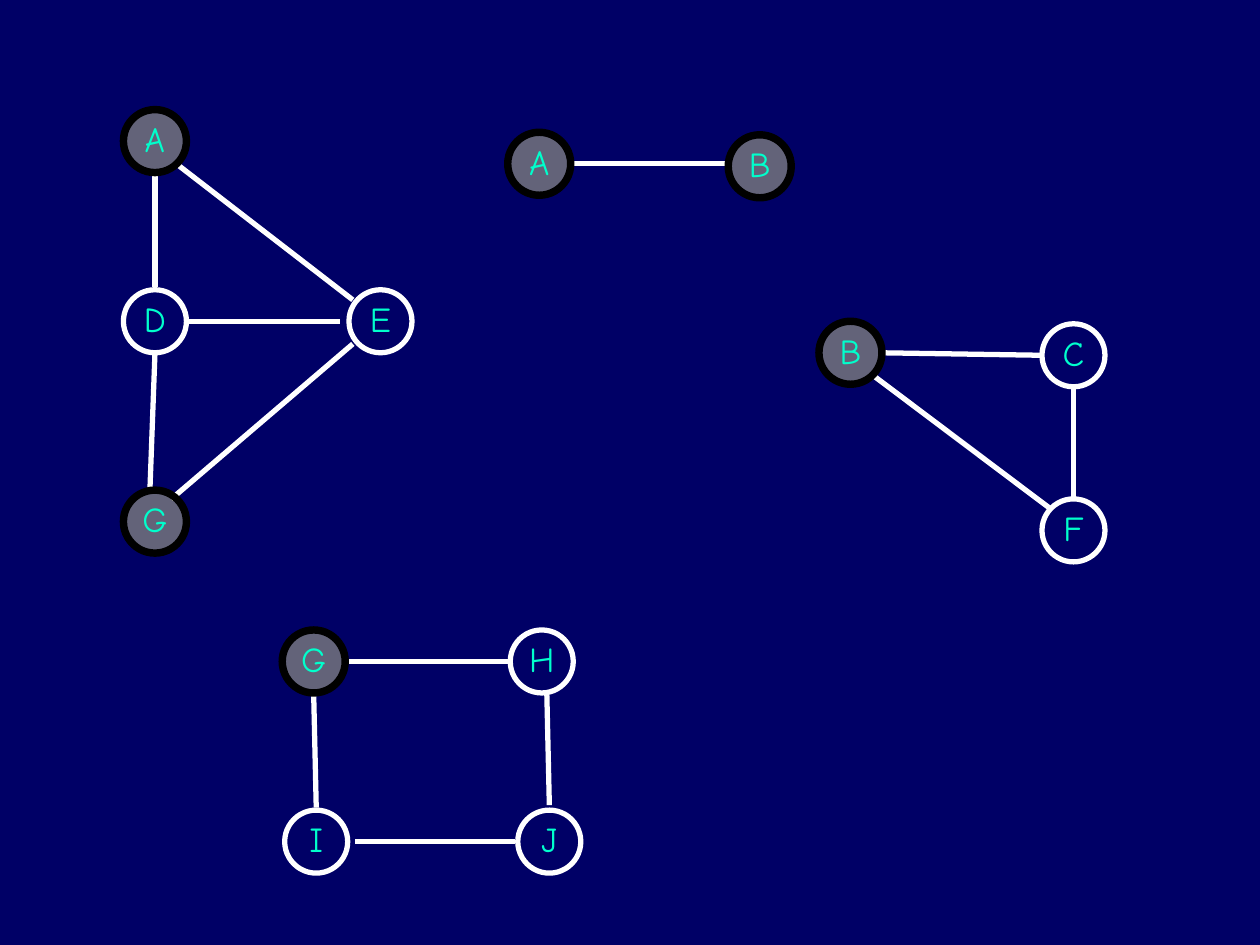
from dataclasses import dataclass

from lxml.etree import SubElement
from pptx import Presentation
from pptx.dml.color import RGBColor
from pptx.enum.shapes import MSO_CONNECTOR, MSO_SHAPE
from pptx.enum.text import MSO_ANCHOR, PP_ALIGN
from pptx.oxml.ns import qn
from pptx.util import Inches, Pt

COLUMNS, ROWS = 100, 75
NODE_SIZE = 5  # grid cells


@dataclass(frozen=True)
class Theme:
    background: str = "000066"
    line: str = "FFFFFF"
    cut_line: str = "000000"
    cut_fill: str = "FFFF99"
    cut_opacity: int = 39
    letter: str = "00FFCC"
    font: str = "Comic Neue"
    letter_size: int = 20
    line_width: float = 3
    cut_line_width: float = 4.25


@dataclass(frozen=True)
class Component:
    """A biconnected component; nodes and edges are offsets in grid cells."""
    box: tuple  # left, top, width, height spanned by the node centres
    nodes: dict
    edges: tuple
    cut_nodes: str


THEME = Theme()

COMPONENTS = (
    Component(
        box=(12.3, 11.2, 17.9, 30.2),
        nodes={"A": (0, 0), "D": (0, 14.3), "E": (17.9, 14.3), "G": (0, 30.2)},
        edges=(
            ((2.7, 14.3), (14.7, 14.3)),
            ((0, 2.7), (0, 11.6)),
            ((1.7, 1.8), (15.7, 12.6)),
            ((0, 16.8), (-0.4, 27.7)),
            ((15.7, 16.1), (1.3, 28.4)),
        ),
        cut_nodes="AG",
    ),
    Component(
        box=(24.9, 52.5, 18.7, 14.3),
        nodes={"I": (0.2, 14.3), "J": (18.7, 14.3), "H": (18.1, 0), "G": (0, 0)},
        edges=(
            ((0, 2.7), (0.2, 11.6)),
            ((3.3, 14.3), (16, 14.3)),
            ((2.7, 0), (15.4, 0)),
            ((18.5, 2.5), (18.7, 11.4)),
        ),
        cut_nodes="G",
    ),
    Component(
        box=(67.5, 28, 17.7, 14.1),
        nodes={"C": (17.7, 0.2), "F": (17.7, 14.1), "B": (0, 0)},
        edges=(
            ((2.5, 0), (15.2, 0.2)),
            ((1.8, 1.8), (15.9, 12.4)),
            ((17.7, 2.8), (17.7, 11.6)),
        ),
        cut_nodes="B",
    ),
    Component(
        box=(42.8, 13, 17.5, 0.2),
        nodes={"A": (0, 0), "B": (17.5, 0.2)},
        edges=(((2.7, 0), (14.8, 0)),),
        cut_nodes="AB",
    ),
)


def colour(value):
    return RGBColor.from_string(value)


def cells(count):
    """Length of a number of the square grid cells."""
    return Inches(10 * count / COLUMNS)


def set_text(shape, text, *, size, font, text_colour, alignment=PP_ALIGN.CENTER):
    frame = shape.text_frame
    frame.word_wrap = False
    frame.vertical_anchor = MSO_ANCHOR.MIDDLE
    frame.margin_left = frame.margin_right = cells(3)
    frame.margin_top = frame.margin_bottom = cells(0.5)
    paragraph = frame.paragraphs[0]
    paragraph.alignment = alignment
    paragraph.line_spacing = 0.9
    run = paragraph.add_run()
    run.text = text
    run.font.size = Pt(size)
    run.font.name = font
    run.font.color.rgb = colour(text_colour)


def add_edge(slide, start, end):
    edge = slide.shapes.add_connector(
        MSO_CONNECTOR.STRAIGHT, *map(cells, start), *map(cells, end))
    edge.line.color.rgb = colour(THEME.line)
    edge.line.width = Pt(THEME.line_width)
    SubElement(edge._element.spPr, qn("a:effectLst"))


def add_node(slide, letter, centre, is_cut):
    """Draw a circle round a centre; a cut node is shaded and outlined in black."""
    left, top = (cells(value - NODE_SIZE / 2) for value in centre)
    node = slide.shapes.add_shape(
        MSO_SHAPE.FLOWCHART_CONNECTOR, left, top, cells(NODE_SIZE), cells(NODE_SIZE))
    node.shadow.inherit = False
    if is_cut:
        node.fill.solid()
        node.fill.fore_color.rgb = colour(THEME.cut_fill)
        fill_colour = node._element.spPr.find(qn("a:solidFill"))[0]
        SubElement(fill_colour, qn("a:alpha"), val=str(THEME.cut_opacity * 1000))
    else:
        node.fill.background()
    node.line.color.rgb = colour(THEME.cut_line if is_cut else THEME.line)
    node.line.width = Pt(THEME.cut_line_width if is_cut else THEME.line_width)
    set_text(node, letter, size=THEME.letter_size, font=THEME.font,
             text_colour=THEME.letter)


def add_component(slide, component):
    box_left, box_top = component.box[:2]

    def place(point):
        return box_left + point[0], box_top + point[1]

    for start, end in component.edges:
        add_edge(slide, place(start), place(end))
    for letter, centre in component.nodes.items():
        add_node(slide, letter, place(centre), letter in component.cut_nodes)


def main():
    presentation = Presentation()
    presentation.slide_width = cells(COLUMNS)
    presentation.slide_height = cells(ROWS)
    slide = presentation.slides.add_slide(presentation.slide_layouts[6])
    slide.background.fill.solid()
    slide.background.fill.fore_color.rgb = colour(THEME.background)
    for component in COMPONENTS:
        add_component(slide, component)
    presentation.save("out.pptx")


if __name__ == "__main__":
    main()
